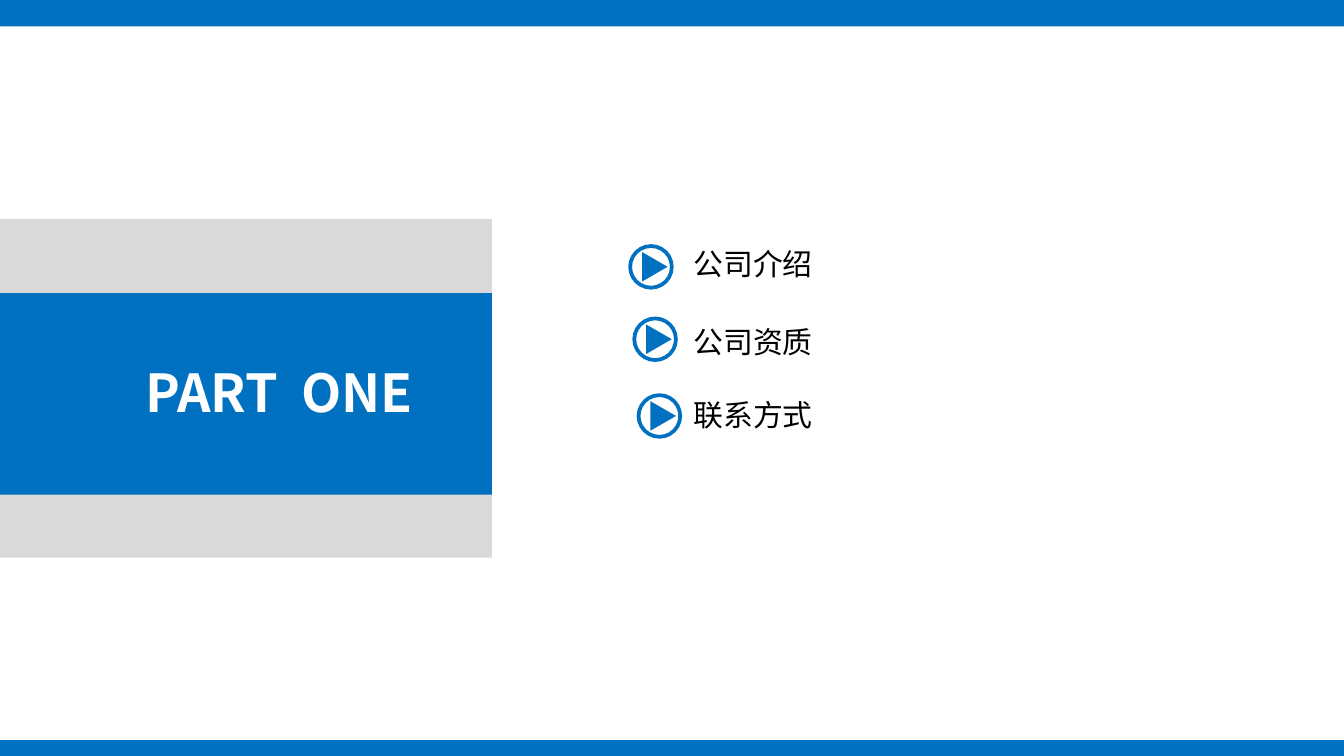
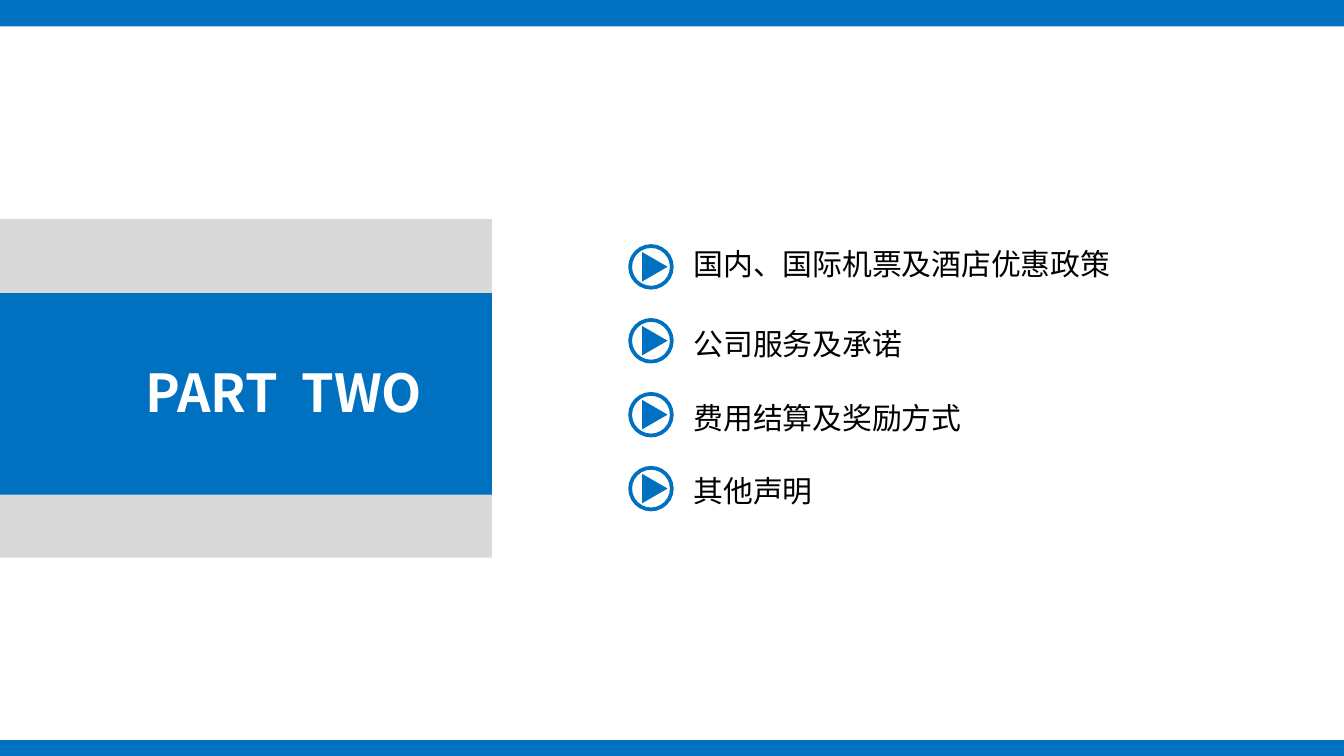
from pptx import Presentation
from pptx.dml.color import RGBColor
from pptx.enum.shapes import MSO_SHAPE
from pptx.enum.text import MSO_ANCHOR, MSO_AUTO_SIZE, PP_ALIGN
from pptx.oxml.ns import qn
from pptx.util import Pt
from lxml import etree

RECT, OVAL, TRIANGLE = MSO_SHAPE.RECTANGLE, MSO_SHAPE.OVAL, MSO_SHAPE.ISOSCELES_TRIANGLE
TOP, GROW, LEFT = MSO_ANCHOR.TOP, MSO_AUTO_SIZE.SHAPE_TO_FIT_TEXT, PP_ALIGN.LEFT

COLORS = {"blue": "0070C0", "grey": "D9D9D9", "white": "FFFFFF", "black": "000000"}
FONT = "Noto Sans CJK SC"
WIDTH, HEIGHT = 720, 405
PANEL_W = 263.5
RING = 22.3
WORD_GAP = 630

TITLE_FORMAT = {"name": FONT, "size": Pt(28), "bold": True}
ITEM_FORMAT = {"name": FONT, "size": Pt(16), "bold": False}
TITLE_MARGINS = (7.2, 3.6)
ITEM_MARGINS = (5.8, 2.9)

BANDS = [
    ("grey", 0, 117.4, PANEL_W, 181.4),
    ("blue", 0, 157, PANEL_W, 108),
    ("blue", 0, 396.5, WIDTH, 8.5),
    ("blue", 0, 0, WIDTH, 14.2),
]

SLIDES = [
    (["PART", "ONE"], 175.7, [
        ("公司介绍", 337.6, 131.8, 128.9, 147.6),
        ("公司资质", 339.8, 170.6, 170.6, 147.6),
        ("联系方式", 342.1, 211.7, 209.5, 147.6),
    ]),
    (["PART", "TWO"], 193, [
        ("国内、国际机票及酒店优惠政策", 337.6, 131.8, 128.9, 242.6),
        ("公司服务及承诺", 337.6, 171.4, 171.4, 147.6),
        ("费用结算及奖励方式", 337.6, 211, 211, 221.8),
        ("其他声明", 337.6, 250.6, 250.6, 147.6),
    ]),
]


def add_shape(shapes, kind, box, fill=None, line=None, rotation=0):
    sp = shapes.add_shape(kind, *map(Pt, box))
    sp.shadow.inherit = False
    sp.rotation = rotation
    if fill:
        sp.fill.solid()
        sp.fill.fore_color.rgb = RGBColor.from_string(COLORS[fill])
    else:
        sp.fill.background()
    if line:
        sp.line.color.rgb = RGBColor.from_string(COLORS[line])
        sp.line.width = Pt(2)
    else:
        sp.line.fill.background()


def write_text(sp, runs, margins, color, fmt):
    tf = sp.text_frame
    tf.word_wrap = True
    tf.auto_size = GROW
    tf.vertical_anchor = TOP
    tf.margin_left = tf.margin_right = Pt(margins[0])
    tf.margin_top = tf.margin_bottom = Pt(margins[1])
    p = tf.paragraphs[0]
    p.alignment = LEFT
    for text in runs:
        r = p.add_run()
        r.text = text
        for key, value in fmt.items():
            setattr(r.font, key, value)
        r.font.color.rgb = RGBColor.from_string(COLORS[color])
        rPr = r._r.get_or_add_rPr()
        etree.SubElement(rPr, qn("a:ea")).set("typeface", FONT)
        if text == " ":
            rPr.set("spc", str(WORD_GAP))


prs = Presentation()
prs.slide_width, prs.slide_height = Pt(WIDTH), Pt(HEIGHT)

for (first, second), title_w, items in SLIDES:
    s = prs.slides.add_slide(prs.slide_layouts[5])
    for color, *box in BANDS:
        add_shape(s.shapes, RECT, box, fill=color)

    title = s.shapes.title
    title.left, title.top, title.width, title.height = map(Pt, (70.6, 189.4, title_w, 41))
    write_text(title, [first, " ", second], TITLE_MARGINS, "white", TITLE_FORMAT)
    s.shapes.element.append(title.element)

    for label, icon_x, icon_y, label_y, label_w in items:
        icon = s.shapes.add_group_shape()
        add_shape(icon.shapes, OVAL, (icon_x, icon_y, RING, RING), line="blue", rotation=90)
        add_shape(icon.shapes, TRIANGLE, (icon_x + 5.3, icon_y + 4.3, 15.8, 13.7),
                  fill="blue", rotation=90)
        sp = s.shapes.add_textbox(*map(Pt, (365.8, label_y, label_w, 26.6)))
        write_text(sp, [label], ITEM_MARGINS, "black", ITEM_FORMAT)

prs.save("out.pptx")
